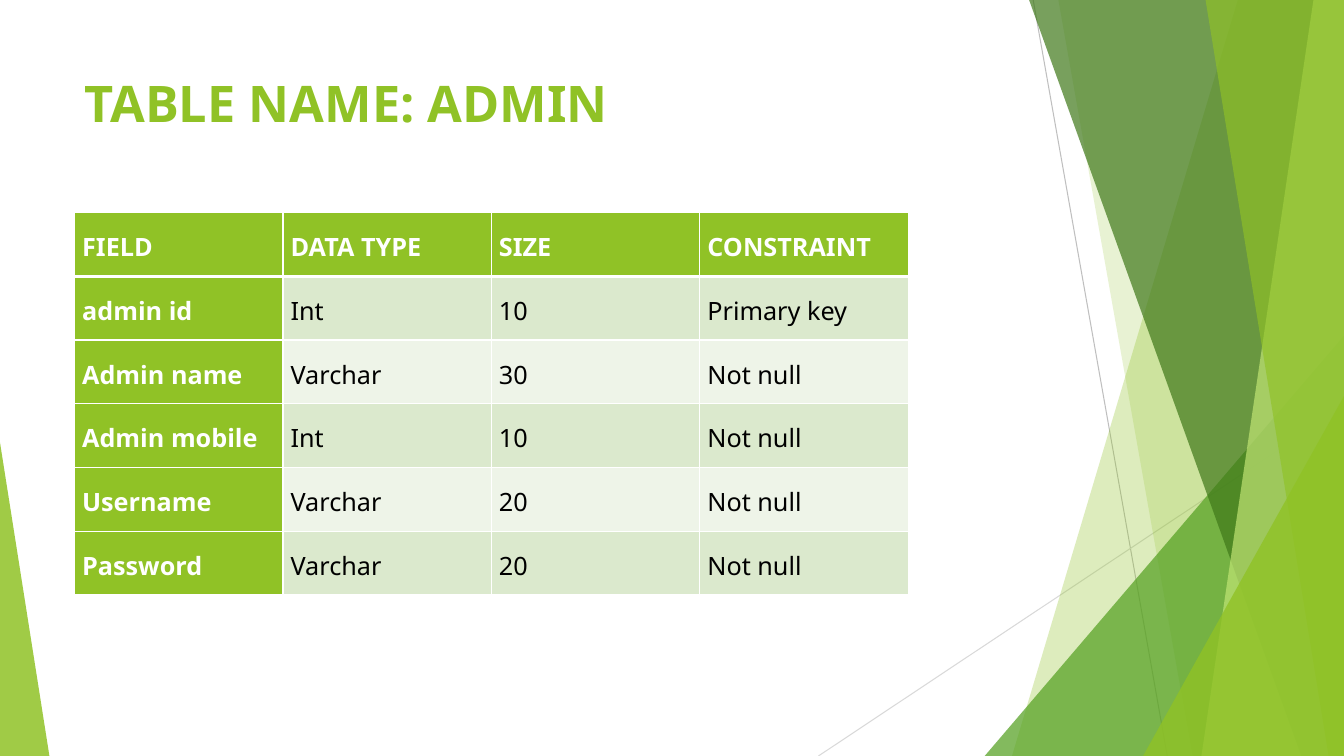
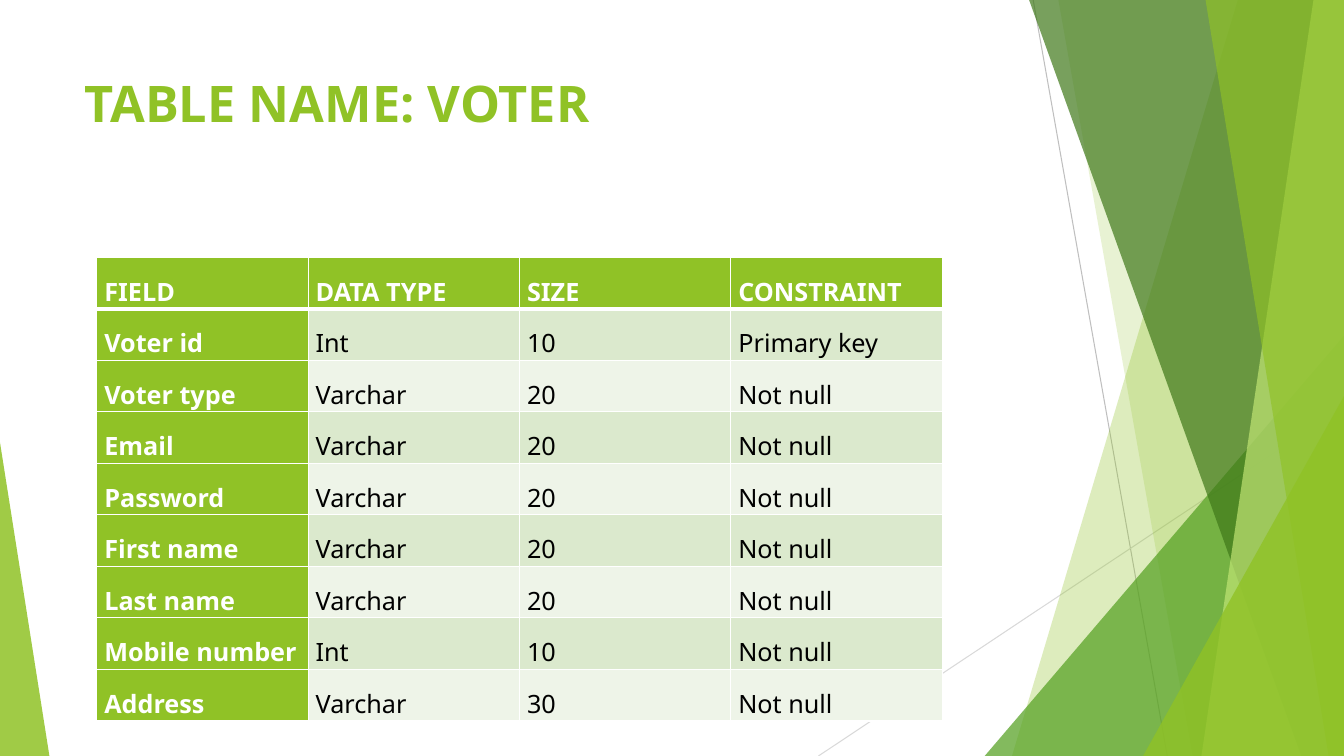
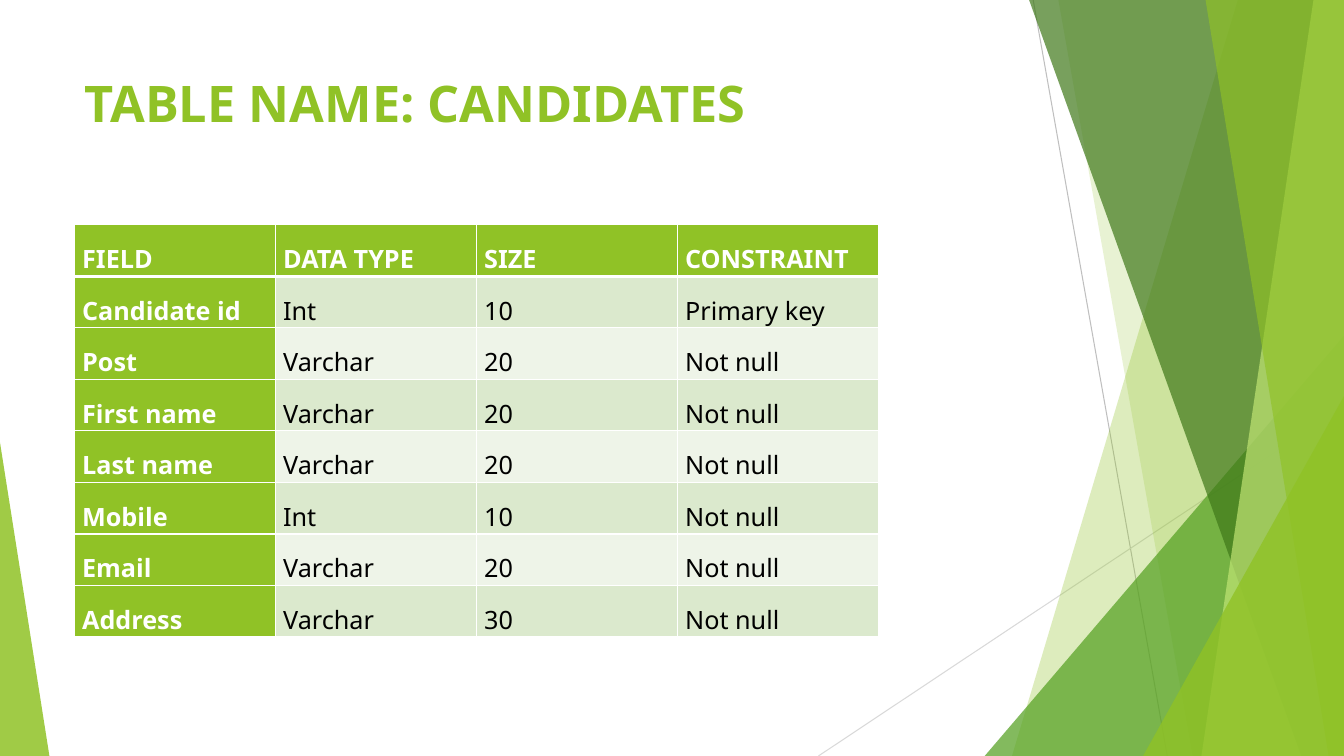
"""Build three slides that describe the database tables of a voting system."""
import dataclasses

import lxml.etree
import pptx
import pptx.dml.color
import pptx.enum.shapes
import pptx.enum.text
import pptx.oxml.ns
import pptx.util

Pt = pptx.util.Pt
qn = pptx.oxml.ns.qn


@dataclasses.dataclass(frozen=True)
class Theme:
    font: str = "Noto Sans"
    title_size: int = 36
    cell_size: int = 18
    accent: str = "90C226"
    green: str = "54A021"
    dark: str = "3F7819"
    light: str = "C0E474"
    white: str = "FFFFFF"
    black: str = "000000"
    bands: tuple = ("DBE9CD", "EEF4E8")


THEME = Theme()
WIDTH, HEIGHT = 960, 540
TITLE_BOX = (53.3, 48.2, 676.8, 103.7)
HEADER = ("FIELD", "DATA TYPE", "SIZE", "CONSTRAINT")

TABLES = [
    {"name": "ADMIN", "left": 53.3, "top": 151.9, "col": 148.9, "row": 45.5, "rows": [
        ("admin id", "Int", "10", "Primary key"),
        ("Admin name", "Varchar", "30", "Not null"),
        ("Admin mobile", "Int", "10", "Not null"),
        ("Username", "Varchar", "20", "Not null"),
        ("Password", "Varchar", "20", "Not null"),
    ]},
    {"name": "VOTER", "left": 69.1, "top": 183.8, "col": 151, "row": 36.8, "rows": [
        ("Voter id", "Int", "10", "Primary key"),
        ("Voter type", "Varchar", "20", "Not null"),
        ("Email", "Varchar", "20", "Not null"),
        ("Password", "Varchar", "20", "Not null"),
        ("First name", "Varchar", "20", "Not null"),
        ("Last name", "Varchar", "20", "Not null"),
        ("Mobile number", "Int", "10", "Not null"),
        ("Address", "Varchar", "30", "Not null"),
    ]},
    {"name": "CANDIDATES", "left": 53.3, "top": 160.6, "col": 143.6, "row": 36.8, "rows": [
        ("Candidate id", "Int", "10", "Primary key"),
        ("Post", "Varchar", "20", "Not null"),
        ("First name", "Varchar", "20", "Not null"),
        ("Last name", "Varchar", "20", "Not null"),
        ("Mobile", "Int", "10", "Not null"),
        ("Email", "Varchar", "20", "Not null"),
        ("Address", "Varchar", "30", "Not null"),
    ]},
]

RAYS = [
    ((738, 0), (833.8, HEIGHT), "BFBFBF"),
    ((WIDTH, 290.2), (584.6, HEIGHT), "D9D9D9"),
]
# facet: top x, bottom x; triangle: left, top, width, apex
FACETS = [
    ("facet", (884.2, 722.9), THEME.accent, 30),
    ("facet", (756, 851.8), THEME.accent, 20),
    ("triangle", (703.4, 239.8, 256.6, 1), THEME.green, 72),
    ("facet", (735.1, 929.5), THEME.dark, 70),
    ("facet", (938.2, 858.2), THEME.light, 70),
    ("facet", (861.1, 949), THEME.accent, 65),
    ("triangle", (816.5, 283, 143.5, 1), THEME.accent, 80),
    ("triangle", (0, 316.1, 35.3, 0), THEME.accent, 85),
]


def rgb(color):
    return pptx.dml.color.RGBColor.from_string(color)


def put_text(tf, text, *, size, color, bold=False, spacing=None, after=None):
    p = tf.paragraphs[0]
    p.alignment = pptx.enum.text.PP_ALIGN.LEFT
    if spacing:
        p.line_spacing = spacing
    if after:
        p.space_after = Pt(after)
    r = p.add_run()
    r.text = text
    r.font.name, r.font.size, r.font.bold = THEME.font, Pt(size), bold
    r.font.color.rgb = rgb(color)


def add_ray(s, start, end, color):
    ray = s.shapes.add_connector(pptx.enum.shapes.MSO_CONNECTOR.STRAIGHT,
                                 *(Pt(v) for v in start + end))
    ray.line.color.rgb, ray.line.width = rgb(color), Pt(0.75)
    lxml.etree.SubElement(ray.element.spPr, qn("a:effectLst"))
    return ray


def add_facet(s, kind, place, color, opacity):
    if kind == "facet":
        top_x, bottom_x = place
        outline = s.shapes.build_freeform(Pt(top_x), Pt(0), scale=1.0)
        corners = [(WIDTH, 0), (WIDTH, HEIGHT), (bottom_x, HEIGHT)]
        outline.add_line_segments([(Pt(x), Pt(y)) for x, y in corners], close=True)
        sp = outline.convert_to_shape()
    else:
        left, top, width, apex = place
        sp = s.shapes.add_shape(pptx.enum.shapes.MSO_SHAPE.ISOSCELES_TRIANGLE,
                                Pt(left), Pt(top), Pt(width), Pt(HEIGHT - top))
        sp.adjustments[0] = apex
    sp.shadow.inherit = False
    sp.line.fill.background()
    sp.fill.solid()
    sp.fill.fore_color.rgb = rgb(color)
    fill = sp.element.spPr.find(qn("a:solidFill")).find(qn("a:srgbClr"))
    lxml.etree.SubElement(fill, qn("a:alpha"), val=str(opacity * 1000))
    return sp


def decorate_layout(layout, s):
    shapes = [add_ray(s, *ray) for ray in RAYS] + [add_facet(s, *f) for f in FACETS]
    for i, sp in enumerate(shapes):
        sp.element.xpath("./*[1]/p:cNvPr")[0].set("id", str(100 + i))
        layout.shapes.element.insert(2 + i, sp.element)


def format_layout_title(layout):
    title = layout.placeholders[0]
    title.left, title.top, title.width, title.height = (Pt(v) for v in TITLE_BOX)
    title.text_frame.vertical_anchor = pptx.enum.text.MSO_ANCHOR.TOP
    title.text_frame.auto_size = pptx.enum.text.MSO_AUTO_SIZE.NONE


def set_borders(cell, **widths):
    tcPr = cell._tc.get_or_add_tcPr()
    for side in ("L", "R", "T", "B"):
        ln = lxml.etree.SubElement(tcPr, qn(f"a:ln{side}"), w=str(Pt(widths.get(side, 1))))
        fill = lxml.etree.SubElement(ln, qn("a:solidFill"))
        lxml.etree.SubElement(fill, qn("a:srgbClr"), val=THEME.white)


def add_field_table(s, spec):
    rows = [HEADER] + spec["rows"]
    table = s.shapes.add_table(len(rows), len(HEADER), Pt(spec["left"]), Pt(spec["top"]),
                               Pt(spec["col"] * len(HEADER)),
                               Pt(spec["row"] * len(rows))).table
    table.first_col = True
    for col in table.columns:
        col.width = Pt(spec["col"])
    for i, values in enumerate(rows):
        table.rows[i].height = Pt(spec["row"])
        for j, value in enumerate(values):
            cell = table.cell(i, j)
            heading = i == 0 or j == 0
            cell.margin_left = cell.margin_right = Pt(5.4)
            cell.margin_top = cell.margin_bottom = 0
            set_borders(cell, T=3 if i == 1 else 1, B=3 if i == 0 else 1)
            cell.fill.solid()
            cell.fill.fore_color.rgb = rgb(THEME.accent if heading else THEME.bands[(i - 1) % 2])
            put_text(cell.text_frame, value, size=THEME.cell_size, bold=heading,
                     color=THEME.white if heading else THEME.black, spacing=1.5, after=10)


def main():
    prs = pptx.Presentation()
    prs.slide_width, prs.slide_height = Pt(WIDTH), Pt(HEIGHT)
    layout = prs.slide_layouts[5]
    format_layout_title(layout)
    for i, spec in enumerate(TABLES):
        s = prs.slides.add_slide(layout)
        if i == 0:
            decorate_layout(layout, s)
        put_text(s.shapes.title.text_frame, f"TABLE NAME: {spec['name']}",
                 size=THEME.title_size, color=THEME.accent, bold=True)
        add_field_table(s, spec)
    prs.save("out.pptx")


if __name__ == "__main__":
    main()
